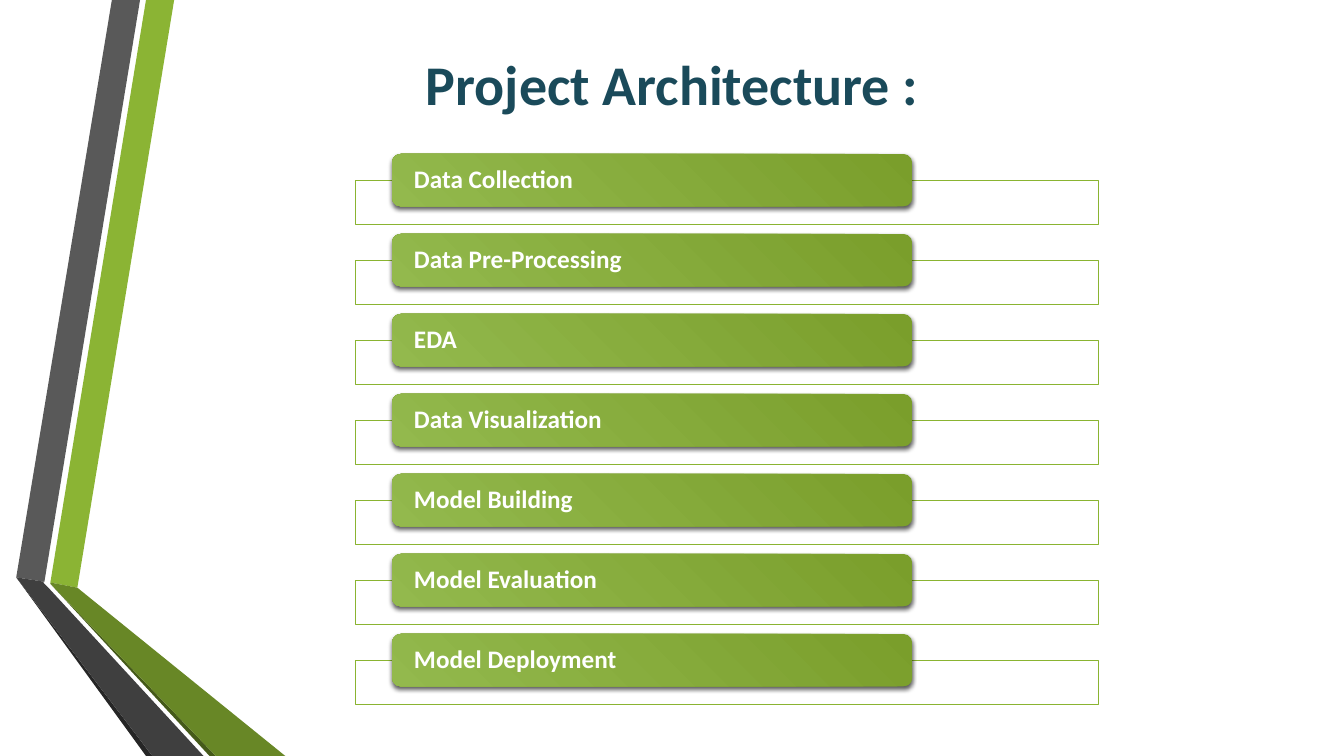
from typing import NamedTuple

from pptx import Presentation
from pptx.dml.color import RGBColor
from pptx.enum.shapes import MSO_SHAPE
from pptx.enum.text import MSO_ANCHOR, PP_ALIGN
from pptx.oxml import parse_xml
from pptx.oxml.ns import nsdecls, qn
from pptx.slide import Slide
from pptx.util import Cm, Pt

FONT = "Calibri"
TITLE_COLOR = RGBColor(0x1A, 0x4A, 0x5A)
WHITE = RGBColor(0xFF, 0xFF, 0xFF)
OUTLINE_GREEN = RGBColor(0x8A, 0xB4, 0x31)
BAND_GREEN = RGBColor(0x8B, 0xB4, 0x34)
BAND_GREY = RGBColor(0x59, 0x59, 0x59)
EDGE_BLACK = RGBColor(0x26, 0x26, 0x26)
EDGE_OLIVE = RGBColor(0x45, 0x5A, 0x19)
FOLD_OLIVE = RGBColor(0x68, 0x87, 0x26)
FOLD_GREY = RGBColor(0x3F, 0x3F, 0x3F)
LABEL_LIGHT = RGBColor(0x93, 0xB9, 0x4D)
LABEL_DARK = RGBColor(0x7A, 0x9E, 0x2B)

SLIDE_WIDTH, SLIDE_HEIGHT = 33.87, 19.05
FIRST_LABEL_TOP = 3.88
STAGE_PITCH = 2.016
FRAME_DROP = 0.66

STAGES = (
    "Data Collection",
    "Data Pre-Processing",
    "EDA",
    "Data Visualization",
    "Model Building",
    "Model Evaluation",
    "Model Deployment",
)


class Ribbon(NamedTuple):
    """A filled outline; corners are in centimetres."""
    color: RGBColor
    corners: tuple[tuple[float, float], ...]


RIBBONS = (
    Ribbon(BAND_GREEN, ((1.27, 14.68), (1.95, 14.81), (4.39, 0), (3.68, 0))),
    Ribbon(BAND_GREY, ((3.53, 0), (2.82, 0), (0.41, 14.55), (1.12, 14.66))),
    Ribbon(EDGE_BLACK, ((0.41, 14.55), (3.68, SLIDE_HEIGHT), (3.84, SLIDE_HEIGHT))),
    Ribbon(EDGE_OLIVE, ((1.27, 14.71), (5.28, SLIDE_HEIGHT), (5.44, SLIDE_HEIGHT))),
    Ribbon(FOLD_OLIVE, ((1.27, 14.71), (5.44, SLIDE_HEIGHT), (7.19, SLIDE_HEIGHT),
                        (1.95, 14.81), (1.27, 14.68))),
    Ribbon(FOLD_GREY, ((5.13, SLIDE_HEIGHT), (1.22, 14.81), (1.09, 14.68),
                       (1.12, 14.66), (0.41, 14.55), (3.84, SLIDE_HEIGHT))),
)


def draw_ribbon(slide: Slide, ribbon: Ribbon) -> None:
    start, *rest = [(Cm(x), Cm(y)) for x, y in ribbon.corners]
    builder = slide.shapes.build_freeform(*start)
    builder.add_line_segments(rest, close=True)
    band = builder.convert_to_shape()
    band.fill.solid()
    band.fill.fore_color.rgb = ribbon.color
    band.line.fill.background()
    band.shadow.inherit = False


def write_title(slide: Slide, wording: str) -> None:
    title = slide.shapes.title
    title.left, title.top = Cm(3.18), Cm(0.89)
    title.width, title.height = Cm(27.51), Cm(2.41)
    title.text_frame.vertical_anchor = MSO_ANCHOR.MIDDLE
    heading = title.text_frame.paragraphs[0]
    heading.alignment = PP_ALIGN.CENTER
    run = heading.add_run()
    run.text = wording
    run.font.name, run.font.size, run.font.bold = FONT, Pt(40), True
    run.font.color.rgb = TITLE_COLOR


def draw_frame(slide: Slide, top: float) -> None:
    frame = slide.shapes.add_shape(
        MSO_SHAPE.RECTANGLE, Cm(8.97), Cm(top), Cm(18.72), Cm(1.12))
    frame.fill.solid()
    frame.fill.fore_color.rgb = WHITE
    color = frame._element.spPr.find(qn("a:solidFill"))[0]
    color.append(parse_xml(f'<a:alpha {nsdecls("a")} val="90000"/>'))
    frame.line.color.rgb = OUTLINE_GREEN
    frame.line.width = Pt(0.75)
    frame.shadow.inherit = False


def draw_label(slide: Slide, top: float, wording: str) -> None:
    label = slide.shapes.add_shape(
        MSO_SHAPE.ROUNDED_RECTANGLE, Cm(9.88), Cm(top), Cm(13.11), Cm(1.32))
    label.line.fill.background()
    label.shadow.inherit = False
    properties = label._element.spPr
    properties.find(qn("a:prstGeom")).addnext(parse_xml(
        f'<a:gradFill {nsdecls("a")} rotWithShape="1"><a:gsLst>'
        f'<a:gs pos="0"><a:srgbClr val="{LABEL_LIGHT}"/></a:gs>'
        f'<a:gs pos="100000"><a:srgbClr val="{LABEL_DARK}"/></a:gs></a:gsLst>'
        '<a:path path="circle"><a:fillToRect t="100000" r="100000"/></a:path>'
        '</a:gradFill>'))
    properties.find(qn("a:effectLst")).append(parse_xml(
        f'<a:outerShdw {nsdecls("a")} blurRad="{Pt(3)}" dist="{Pt(2)}" dir="5400000" '
        'rotWithShape="0"><a:srgbClr val="000000"><a:alpha val="64000"/></a:srgbClr>'
        '</a:outerShdw>'))

    text = label.text_frame
    text.word_wrap = True
    text.vertical_anchor = MSO_ANCHOR.MIDDLE
    text.margin_left = text.margin_right = Cm(0.49)
    text.margin_top = text.margin_bottom = 0
    line = text.paragraphs[0]
    line.alignment = PP_ALIGN.LEFT
    line.line_spacing = 0.9
    run = line.add_run()
    run.text = wording
    run.font.name, run.font.size, run.font.bold = FONT, Pt(18), True
    run.font.color.rgb = WHITE


def main() -> None:
    deck = Presentation()
    deck.slide_width, deck.slide_height = Cm(SLIDE_WIDTH), Cm(SLIDE_HEIGHT)
    slide = deck.slides.add_slide(deck.slide_layouts.get_by_name("Title Only"))
    for ribbon in RIBBONS:
        draw_ribbon(slide, ribbon)
    write_title(slide, "Project Architecture :")
    for index, stage in enumerate(STAGES):
        label_top = FIRST_LABEL_TOP + index * STAGE_PITCH
        draw_frame(slide, label_top + FRAME_DROP)
        draw_label(slide, label_top, stage)
    deck.save("out.pptx")


if __name__ == "__main__":
    main()
